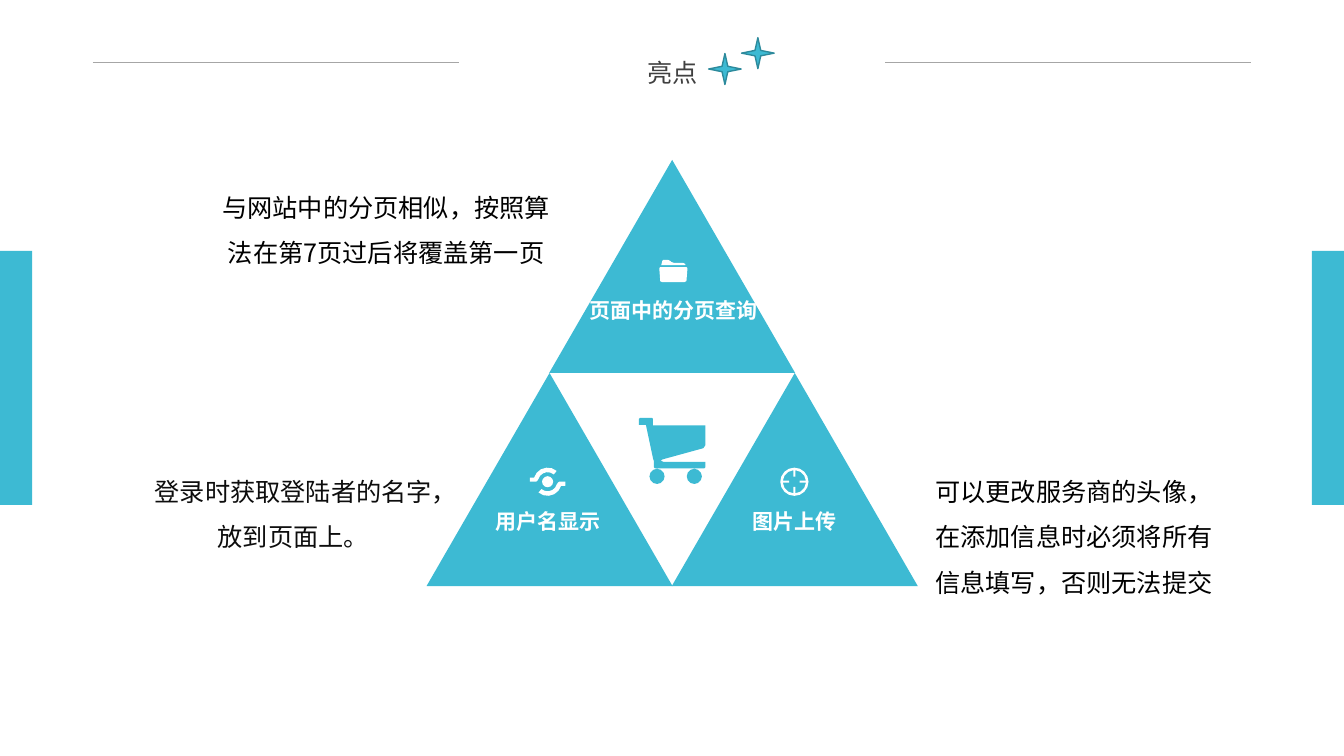
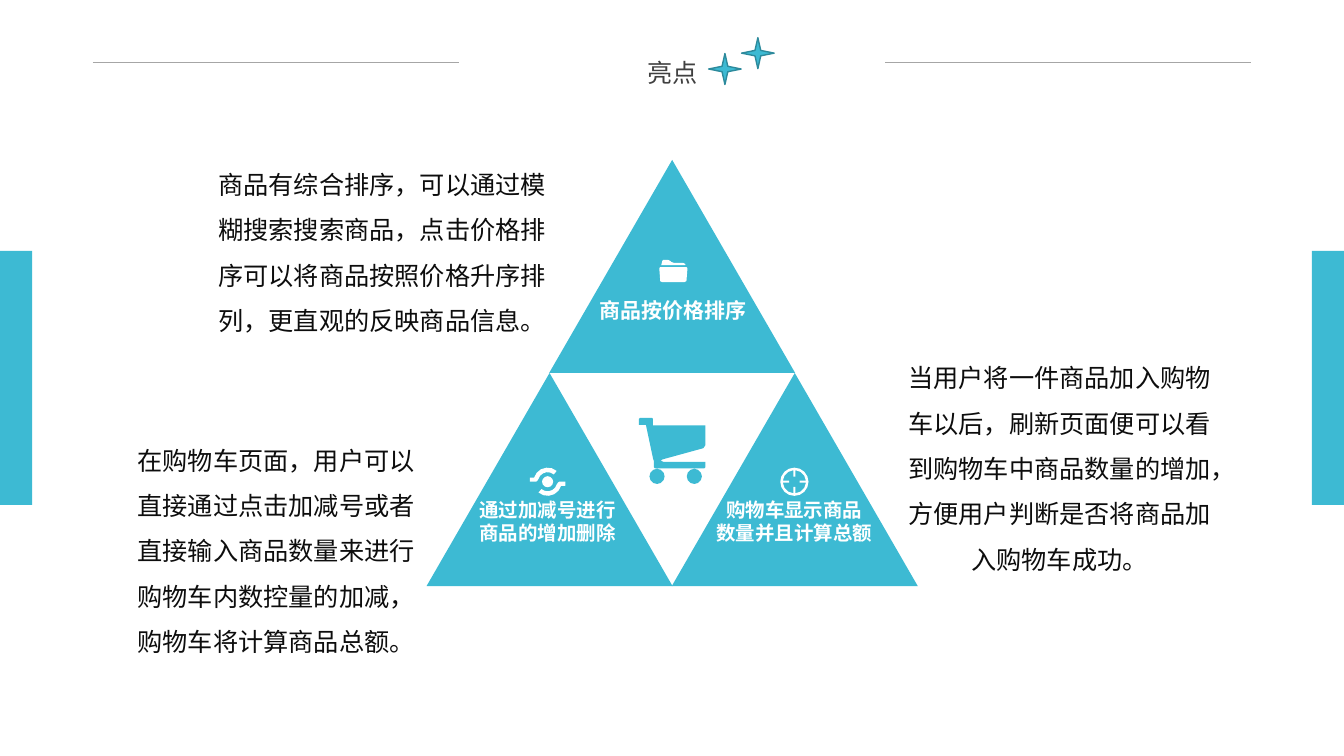
import math
from dataclasses import dataclass

import pptx
import pptx.dml.color
import pptx.enum.lang
import pptx.enum.shapes
import pptx.enum.text
import pptx.oxml
import pptx.oxml.ns
import pptx.util
from pptx.util import Cm

RGBColor = pptx.dml.color.RGBColor
SHAPES = pptx.enum.shapes.MSO_SHAPE
ANCHOR = pptx.enum.text.MSO_ANCHOR
FIT = pptx.enum.text.MSO_AUTO_SIZE

TEAL = RGBColor(0x3D, 0xBA, 0xD3)
DARK_TEAL = RGBColor(0x2D, 0x8A, 0x9C)
WHITE = RGBColor(0xFF, 0xFF, 0xFF)
BLACK = RGBColor(0x00, 0x00, 0x00)
NEAR_BLACK = RGBColor(0x0D, 0x0D, 0x0D)
TITLE_GRAY = RGBColor(0x40, 0x40, 0x40)
RULE_GRAY = RGBColor(0xA6, 0xA6, 0xA6)

SANS_JP = "Noto Sans CJK JP"
SANS_SC = "Noto Sans CJK SC"
CALIBRI = "Calibri"

SLIDE_W, SLIDE_H = 33.87, 19.05
TRIANGLE_W, TRIANGLE_H = 6.2, 5.37
TRIANGLE_STEP = 3.09
ICON_UNIT = 0.0254


@dataclass
class Note:
    """A body text with its box (left, top, width, height) in centimetres."""
    box: tuple
    paragraphs: list
    font: str = SANS_SC
    color: RGBColor = NEAR_BLACK


@dataclass
class Topic:
    label: list
    note: Note
    label_size: float = 15


def arc(center, radius, start, end, steps):
    """Points along an arc; angles in degrees, clockwise from the right."""
    angles = [math.radians(start + (end - start) * i / steps) for i in range(steps + 1)]
    return [(center[0] + radius * math.cos(a), center[1] + radius * math.sin(a))
            for a in angles]


def circle(center, radius, steps=12):
    return arc(center, radius, 0, 360, steps)[:-1]


def target_icon():
    center, inner = (14, 14), []
    for quarter in range(0, 360, 90):
        inner += arc(center, 11.5, quarter + 5, quarter + 85, 3)
        inner += arc(center, 5.2, quarter + 79, quarter + 101, 1)
    return (28, 28), [circle(center, 14, 16), inner]


def swirl_icon():
    center = (17.5, 14)
    lower = ([(35, 14), (29, 14), (27.7, 15)] + arc(center, 9.5, 15, 130, 5)
             + arc(center, 14, 130, 17, 5) + [(35, 18)])
    upper = [(35 - x, 28 - y) for x, y in lower]
    return (35, 28), [lower, upper, circle(center, 5.5)]


def folder_icon():
    flap = [(26, 5), (26, 4), (24, 3), (15, 3), (12, 2), (11, 1), (9, 0),
            (4, 0), (3, 1), (2, 5)]
    pocket = [(27, 7), (1, 7), (0, 8), (1, 21), (3, 22), (25, 22), (27, 21), (28, 8)]
    return (28, 22), [flap, pocket]


def cart_icon():
    basket = [(24, 41), (64, 30), (66, 27), (66, 7.5), (14, 7.5), (14, 1), (13, 0),
              (1, 0), (0, 1), (0, 7), (7, 7), (14, 40), (15, 43), (15, 49),
              (16, 50), (65, 50), (66, 49), (66, 43.5), (24, 43.5), (21.5, 42)]
    return (66, 66), [basket, circle((18, 58), 7.5), circle((55, 58), 7.5)]


def paint(shape, fill, line=None):
    shape.shadow.inherit = False
    shape.fill.solid()
    shape.fill.fore_color.rgb = fill
    if line is None:
        shape.line.fill.background()
    else:
        shape.line.color.rgb = line
        shape.line.width = pptx.util.Pt(1)


def add_preset(page, kind, box, fill, line=None):
    shape = page.shapes.add_shape(kind, *map(Cm, box))
    paint(shape, fill, line)
    return shape


def add_icon(page, icon, center_x, center_y, fill):
    (width, height), contours = icon

    def scaled(points):
        return [(Cm(x * ICON_UNIT), Cm(y * ICON_UNIT)) for x, y in points]

    first, *others = map(scaled, contours)
    outline = page.shapes.build_freeform(*first[0], scale=1.0)
    outline.add_line_segments(first[1:], close=True)
    for points in others:
        outline.move_to(*points[0])
        outline.add_line_segments(points[1:], close=True)
    shape = outline.convert_to_shape(Cm(center_x - width * ICON_UNIT / 2),
                                     Cm(center_y - height * ICON_UNIT / 2))
    paint(shape, fill)


def add_text(page, box, paragraphs, *, size=18, font=SANS_JP, color=BLACK, bold=False,
             wrap=True, spacing=None, anchor=ANCHOR.TOP, inset=None, fit=FIT.SHAPE_TO_FIT_TEXT):
    """Place centred paragraphs in a text box."""
    frame = page.shapes.add_textbox(*map(Cm, box)).text_frame
    frame.word_wrap = wrap
    frame.auto_size = fit
    frame.vertical_anchor = anchor
    if inset is not None:
        frame.margin_left = frame.margin_right = Cm(inset)
        frame.margin_top = frame.margin_bottom = Cm(inset)
    for index, text in enumerate(paragraphs):
        para = frame.add_paragraph() if index else frame.paragraphs[0]
        para.alignment = pptx.enum.text.PP_ALIGN.CENTER
        para.line_spacing = spacing
        span = para.add_run()
        span.text = text
        span.font.size = pptx.util.Pt(size)
        span.font.bold = bold
        span.font.color.rgb = color
        span.font.name = font
        span.font.language_id = pptx.enum.lang.MSO_LANGUAGE_ID.SIMPLIFIED_CHINESE
        east_asian = pptx.oxml.parse_xml(
            f'<a:ea {pptx.oxml.ns.nsdecls("a")} typeface="{SANS_SC if font == CALIBRI else font}"/>')
        span.font._element.find(pptx.oxml.ns.qn("a:latin")).addnext(east_asian)


def add_rule(page, left, top, width):
    rule = page.shapes.add_connector(pptx.enum.shapes.MSO_CONNECTOR.STRAIGHT,
                                     Cm(left), Cm(top), Cm(left + width), Cm(top))
    rule.line.color.rgb = RULE_GRAY
    rule.line.width = pptx.util.Pt(0.5)
    rule._element.spPr.append(
        pptx.oxml.parse_xml(f'<a:effectLst {pptx.oxml.ns.nsdecls("a")}/>'))


def add_side_bands(page):
    """Draw both edge bands and move them to the layout, so every slide shows them."""
    layout = page.slide_layout
    for placeholder in list(layout.placeholders):
        layout.shapes.element.remove(placeholder.element)
    width, height = 0.81, 6.4
    for left in (0, SLIDE_W - width):
        band = add_preset(page, SHAPES.RECTANGLE,
                          (left, (SLIDE_H - height) / 2, width, height), TEAL)
        layout.shapes.element.append(band.element)


def add_header(page, title):
    margin, width = 2.34, 9.22
    for left in (margin, SLIDE_W - margin - width):
        add_rule(page, left, 1.57, width)
    add_text(page, (16.05, 1.32, 1.8, 1.02), [title], color=TITLE_GRAY, wrap=False)
    for left, top in ((17.86, 1.35), (18.69, 0.95)):
        add_preset(page, SHAPES.STAR_4_POINT, (left, top, 0.82, 0.78), TEAL, DARK_TEAL)


def add_triangle(page, center_x, top, icon, shift, topic):
    """Draw a triangle; shift moves its icon and label by (x, y)."""
    add_preset(page, SHAPES.ISOSCELES_TRIANGLE,
               (center_x - TRIANGLE_W / 2, top, TRIANGLE_W, TRIANGLE_H), TEAL)
    middle, upper = center_x + shift[0], top + shift[1]
    add_icon(page, icon, middle, upper + 2.74, WHITE)
    width = 5.18
    add_text(page, (middle - width / 2, upper + 3.19, width, 1.09), topic.label,
             size=topic.label_size, color=WHITE, bold=True, wrap=False,
             anchor=ANCHOR.MIDDLE, inset=0, fit=FIT.NONE)


def add_pyramid(page, center_x, top, topics):
    """Three triangles (top, left, right) around a cart, each with its note."""
    lower = top + TRIANGLE_H
    places = ((center_x, top, folder_icon(), (0.03, 0.06)),
              (center_x - TRIANGLE_STEP, lower, swirl_icon(), (-0.05, 0)),
              (center_x + TRIANGLE_STEP, lower, target_icon(), (-0.01, 0)))
    for place, topic in zip(places, topics):
        add_triangle(page, *place, topic)
        note = topic.note
        add_text(page, note.box, note.paragraphs, font=note.font, color=note.color,
                 spacing=1.5)
    add_icon(page, cart_icon(), center_x, lower + 1.97, TEAL)


HIGHLIGHTS = [
    [
        Topic(["页面中的分页查询"],
              Note((5.12, 4.33, 9.22, 2.57),
                   ["与网站中的分页相似，按照算法在第7页过后将覆盖第一页"], SANS_JP, BLACK)),
        Topic(["用户名显示"],
              Note((3.58, 11.5, 7.62, 2.57), ["登录时获取登陆者的名字，放到页面上。"])),
        Topic(["图片上传"],
              Note((23.13, 11.5, 7.87, 3.71),
                   ["可以更改服务商的头像，", "在添加信息时必须将所有信息填写，否则无法提交"],
                   SANS_JP, BLACK)),
    ],
    [
        Topic(["商品按价格排序"],
              Note((5.02, 3.76, 9.22, 4.88),
                   ["商品有综合排序，可以通过模糊搜索搜索商品，点击价格排序可以将商品按照价格升序排列，"
                    "更直观的反映商品信息。"])),
        Topic(["通过加减号进行", "商品的增加删除"],
              Note((3.15, 10.71, 7.62, 6.02),
                   ["在购物车页面，用户可以直接通过点击加减号或者直接输入商品数量来进行购物车内数控量的加减，"
                    "购物车将计算商品总额。"], CALIBRI), 13.9),
        Topic(["购物车显示商品", "数量并且计算总额"],
              Note((22.61, 8.63, 8.18, 6.02),
                   ["当用户将一件商品加入购物车以后，刷新页面便可以看到购物车中商品数量的增加，"
                    "方便用户判断是否将商品加入购物车成功。"], CALIBRI), 13.9),
    ],
]


def main():
    deck = pptx.Presentation()
    deck.slide_width, deck.slide_height = Cm(SLIDE_W), Cm(SLIDE_H)
    blank = deck.slide_layouts[6]
    for index, topics in enumerate(HIGHLIGHTS):
        page = deck.slides.add_slide(blank)
        if index == 0:
            add_side_bands(page)
        add_pyramid(page, 16.94, 4.03, topics)
        add_header(page, "亮点")
    deck.save("out.pptx")


if __name__ == "__main__":
    main()
